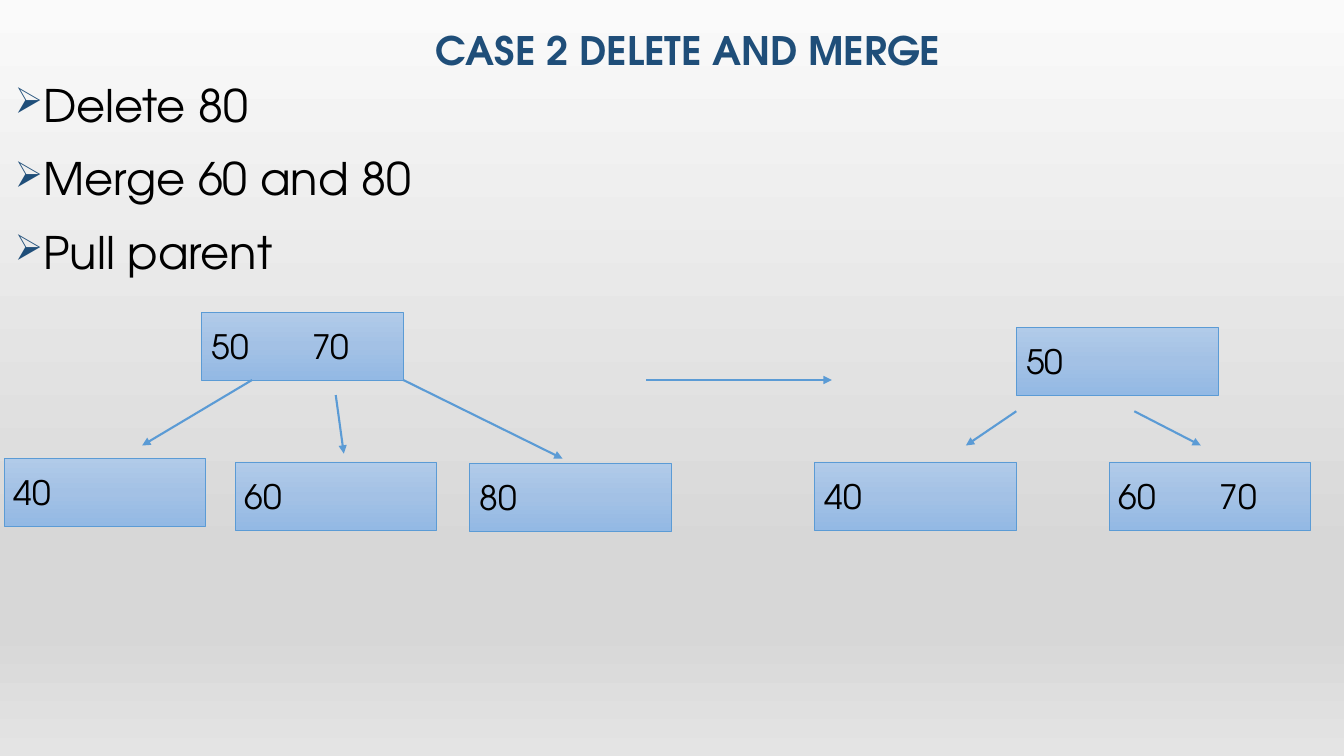
from lxml import etree
from pptx import Presentation
from pptx.dml.color import RGBColor
from pptx.enum.shapes import MSO_CONNECTOR, MSO_SHAPE
from pptx.enum.text import MSO_ANCHOR, PP_ALIGN
from pptx.oxml.ns import qn
from pptx.util import Inches, Pt

RECT = MSO_SHAPE.RECTANGLE
LINE = MSO_CONNECTOR.STRAIGHT
LEFT, CENTER = PP_ALIGN.LEFT, PP_ALIGN.CENTER
TOP, MIDDLE, BOTTOM = MSO_ANCHOR.TOP, MSO_ANCHOR.MIDDLE, MSO_ANCHOR.BOTTOM

FONT = "TeX Gyre Adventor"
COLORS = {"navy": "1F4E79", "black": "000000", "blue": "5B9BD5"}
PAGE = [(0, "FAFAFA"), (74, "D7D7D7"), (83, "D7D7D7"), (100, "E4E4E4")]
NODE = [(0, "B1CBE9"), (50, "A3C1E5"), (100, "93B9E4")]


def add_box(left, top, width, height, stops):
    box = slide.shapes.add_shape(
        RECT, Inches(left), Inches(top), Inches(width), Inches(height))
    box.shadow.inherit = False
    box.fill.gradient()
    box.fill.gradient_angle = 270
    ramp = box._element.spPr.find(".//" + qn("a:gsLst"))
    for old in list(ramp):
        ramp.remove(old)
    for pos, color in stops:
        stop = etree.SubElement(ramp, qn("a:gs"), pos=str(pos * 1000))
        etree.SubElement(stop, qn("a:srgbClr"), val=color)
    return box


def add_text(para, text, size, color, align=LEFT, bold=False):
    para.alignment = align
    run = para.add_run()
    run.text = text
    run.font.name = FONT
    run.font.size = Pt(size)
    run.font.bold = bold
    run.font.color.rgb = RGBColor.from_string(COLORS[color])


prs = Presentation()
prs.slide_width = Inches(13.33)
prs.slide_height = Inches(7.5)
slide = prs.slides.add_slide(prs.slide_layouts[6])

page = add_box(0, 0, 13.33, 7.5, PAGE)
page.line.fill.background()

title = slide.shapes.add_textbox(
    Inches(0.41), Inches(0), Inches(12.83), Inches(0.78)).text_frame
title.word_wrap = True
title.vertical_anchor = BOTTOM
title.paragraphs[0].line_spacing = 0.9
add_text(title.paragraphs[0], "CASE 2 DELETE AND MERGE", 28, "navy", CENTER, True)

body = slide.shapes.add_textbox(
    Inches(0), Inches(0.78), Inches(13.25), Inches(5.97)).text_frame
body.word_wrap = True
body.vertical_anchor = TOP
for i, step in enumerate(["Delete 80", "Merge 60 and 80", "Pull parent"]):
    para = body.add_paragraph() if i else body.paragraphs[0]
    para.line_spacing = 0.9
    para.space_before = Pt(18)
    add_text(para, step, 32, "black")
    props = para._p.get_or_add_pPr()
    props.set("marL", str(Inches(0.3)))
    props.set("indent", str(Inches(-0.25)))
    tint = etree.SubElement(props, qn("a:buClr"))
    etree.SubElement(tint, qn("a:srgbClr"), val=COLORS["navy"])
    etree.SubElement(props, qn("a:buSzPct"), val="80000")
    etree.SubElement(props, qn("a:buChar"), char="➢")

nodes = [
    (2, 3.1, "50\t70"),
    (2.33, 4.59, "60"),
    (0.04, 4.55, "40"),
    (4.66, 4.6, "80"),
    (10.08, 3.25, "50"),
    (11, 4.59, "60\t70"),
    (8.08, 4.59, "40"),
]
for left, top, keys in nodes:
    node = add_box(left, top, 2, 0.67, NODE)
    node.line.color.rgb = RGBColor.from_string(COLORS["blue"])
    node.line.width = Pt(0.5)
    frame = node.text_frame
    frame.word_wrap = True
    frame.vertical_anchor = MIDDLE
    para = frame.paragraphs[0]
    add_text(para, keys, 24, "black")
    tabs = etree.SubElement(para._p.get_or_add_pPr(), qn("a:tabLst"))
    etree.SubElement(tabs, qn("a:tab"), pos=str(Inches(1)), algn="l")

arrows = [
    (2.5, 3.77, 1.41, 4.42),
    (3.33, 3.92, 3.41, 4.5),
    (4, 3.77, 5.58, 4.55),
    (10.08, 4.08, 9.58, 4.42),
    (11.25, 4.08, 11.91, 4.42),
    (6.41, 3.77, 8.25, 3.77),
]
for ends in arrows:
    arrow = slide.shapes.add_connector(LINE, *[Inches(end) for end in ends])
    arrow.line.color.rgb = RGBColor.from_string(COLORS["blue"])
    arrow.line.width = Pt(1.5)
    etree.SubElement(arrow.line._get_or_add_ln(), qn("a:tailEnd"), type="triangle")
    etree.SubElement(arrow._element.spPr, qn("a:effectLst"))

prs.save("out.pptx")
